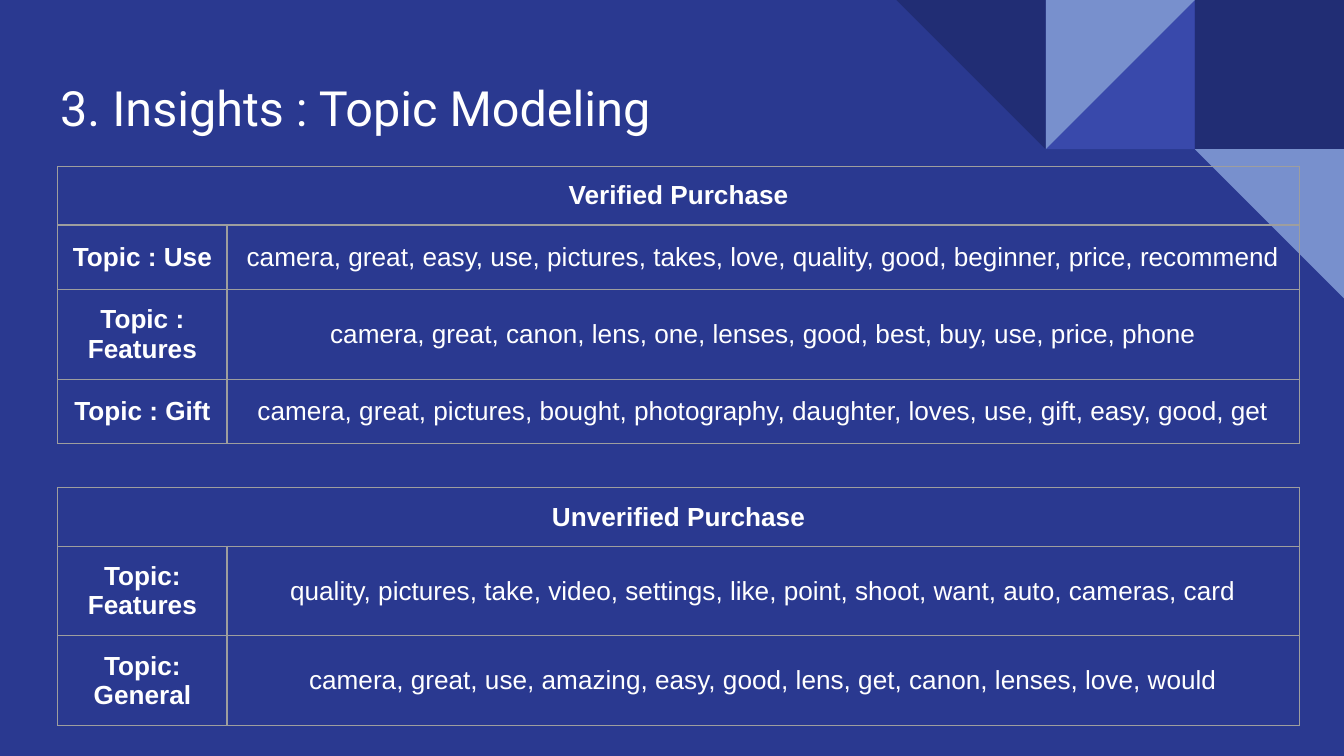
from dataclasses import dataclass
from lxml.etree import SubElement
from pptx import Presentation
from pptx.dml.color import RGBColor as RGB
from pptx.enum.shapes import MSO_SHAPE as SHAPE
from pptx.enum.text import MSO_ANCHOR as ANCHOR, PP_ALIGN as ALIGN
from pptx.oxml import parse_xml
from pptx.oxml.ns import nsdecls, qn
from pptx.util import Inches, Pt


@dataclass(frozen=True)
class Theme:
    background: str = "2A3990"
    navy: str = "212D74"
    indigo: str = "3949AB"
    sky: str = "7890CD"
    text: str = "FFFFFF"
    border: str = "9E9E9E"
    title_font: str = "Roboto"
    body_font: str = "Arial"
    title_size: int = 26
    body_size: int = 14


def style_text(p, font, size, bold=False):
    p.font.name = font
    p.font.size = Pt(size)
    p.font.bold = bold
    p.font.color.rgb = RGB.from_string(theme.text)


def style_cell(cell):
    cell.fill.background()
    cell.vertical_anchor = ANCHOR.MIDDLE
    cell.margin_left = cell.margin_right = Inches(0.1)
    cell.margin_top = cell.margin_bottom = Inches(0.1)
    tcPr = cell._tc.get_or_add_tcPr()
    for i, side in enumerate(("lnL", "lnR", "lnT", "lnB")):
        ln = parse_xml(f'<a:{side} {nsdecls("a")} w="{Pt(0.75)}"/>')
        fill = SubElement(ln, qn("a:solidFill"))
        SubElement(fill, qn("a:srgbClr"), val=theme.border)
        tcPr.insert(i, ln)


theme = Theme()
prs = Presentation()
prs.slide_width = Inches(10)
prs.slide_height = Inches(10) * 9 // 16
s = prs.slides.add_slide(prs.slide_layouts[6])
s.background.fill.solid()
s.background.fill.fore_color.rgb = RGB.from_string(theme.background)

tile = 1.11
tiles = [
    (SHAPE.RECTANGLE, 8.89, 0, 0, False, theme.navy),
    (SHAPE.RIGHT_TRIANGLE, 7.78, 0, 0, True, theme.indigo),
    (SHAPE.RIGHT_TRIANGLE, 7.78, 0, 180, True, theme.sky),
    (SHAPE.RIGHT_TRIANGLE, 6.67, 0, 180, False, theme.navy),
    (SHAPE.RIGHT_TRIANGLE, 8.89, tile, 180, False, theme.sky),
]
for kind, left, top, rotation, flipped, color in tiles:
    sp = s.shapes.add_shape(kind, Inches(left), Inches(top), Inches(tile), Inches(tile))
    sp.shadow.inherit = False
    sp.fill.solid()
    sp.fill.fore_color.rgb = RGB.from_string(color)
    sp.line.fill.background()
    sp.rotation = rotation
    if flipped:
        sp._element.spPr.get_or_add_xfrm().set("flipH", "1")

title = s.shapes.add_textbox(Inches(0.35), Inches(0.27), Inches(5.5), Inches(0.84))
tf = title.text_frame
tf.word_wrap = True
tf.vertical_anchor = ANCHOR.BOTTOM
tf.margin_left = tf.margin_right = tf.margin_top = tf.margin_bottom = Inches(0.1)
tf.text = "3. Insights : Topic Modeling"
style_text(tf.paragraphs[0], theme.title_font, theme.title_size)

tables = [
    (1.24, "Verified Purchase", [
        ("Topic : Use", "camera, great, easy, use, pictures, takes, love, quality, good, beginner, price, recommend"),
        ("Topic : Features", "camera, great, canon, lens, one, lenses, good, best, buy, use, price, phone"),
        ("Topic : Gift", "camera, great, pictures, bought, photography, daughter, loves, use, gift, easy, good, get"),
    ]),
    (3.63, "Unverified Purchase", [
        ("Topic: Features", "quality, pictures, take, video, settings, like, point, shoot, want, auto, cameras, card"),
        ("Topic: General", "camera, great, use, amazing, easy, good, lens, get, canon, lenses, love, would"),
    ]),
]
widths = [1.26, 0.63] + [7.35 / 9] * 9
last = len(widths) - 1
header_height, row_height = 0.37, 0.48
frame_size = Inches(3.28)

for top, heading, topics in tables:
    frame = s.shapes.add_table(len(topics) + 1, len(widths), Inches(0.43), Inches(top),
                               frame_size, frame_size)
    table = frame.table
    table.first_row = table.horz_banding = False
    for column, width in zip(table.columns, widths):
        column.width = Inches(width)
    for i, row in enumerate(table.rows):
        row.height = Inches(row_height if i else header_height)
    frame.width = frame.height = frame_size
    for cell in table.iter_cells():
        style_cell(cell)

    table.cell(0, 0).merge(table.cell(0, last))
    entries = [(0, 0, heading)]
    for i, (topic, words) in enumerate(topics, 1):
        table.cell(i, 1).merge(table.cell(i, last))
        entries += [(i, 0, topic), (i, 1, words)]
    for i, j, text in entries:
        cell = table.cell(i, j)
        cell.text = text
        p = cell.text_frame.paragraphs[0]
        p.alignment = ALIGN.CENTER
        style_text(p, theme.body_font, theme.body_size, bold=j == 0)

prs.save("out.pptx")
